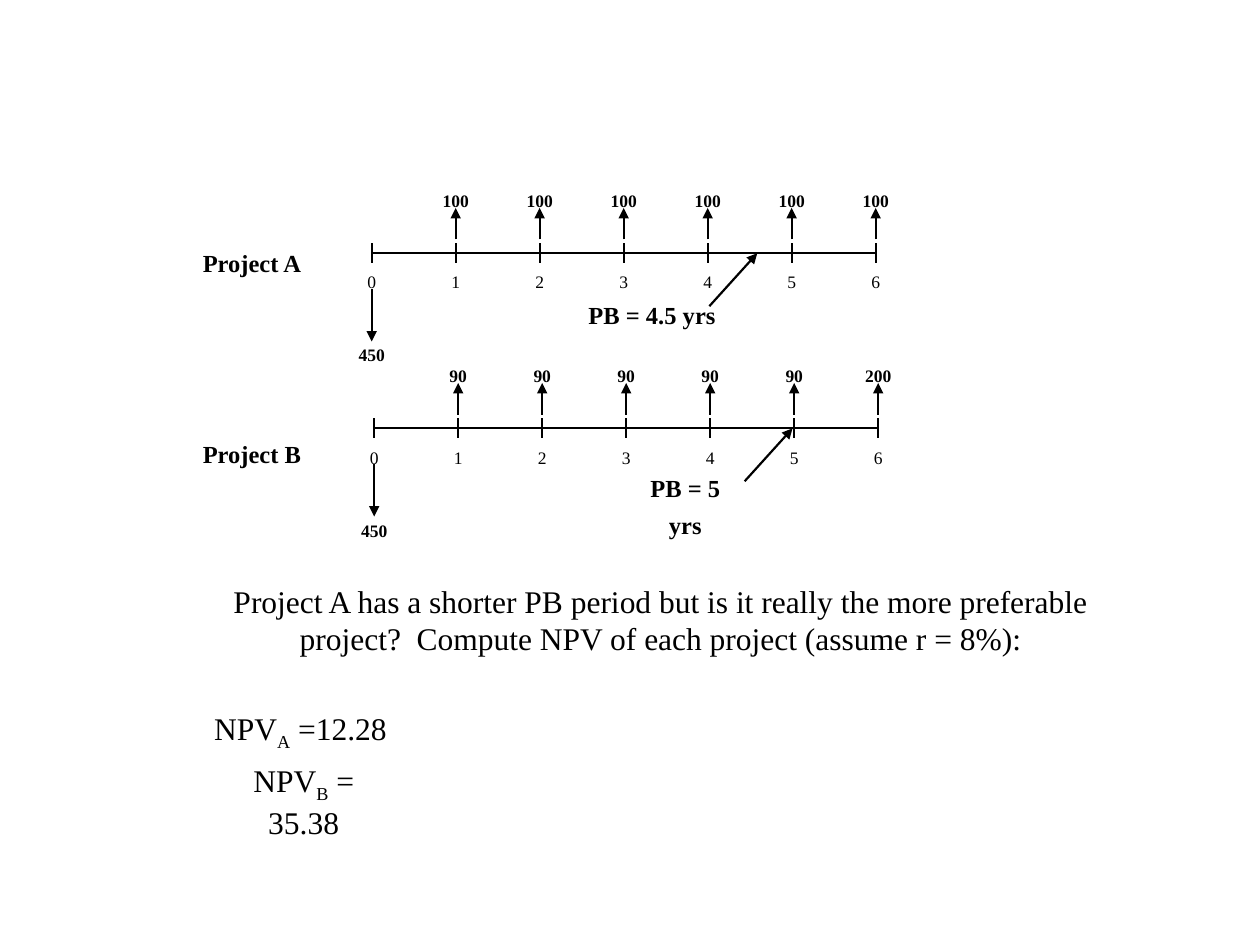
"""Build a slide comparing the payback periods and NPVs of two projects."""
from lxml.etree import SubElement
from pptx import Presentation
from pptx.dml.color import RGBColor as RGB
from pptx.enum.shapes import MSO_CONNECTOR as Connector
from pptx.enum.text import MSO_AUTO_SIZE as AutoSize, PP_ALIGN as Align
from pptx.oxml.ns import qn
from pptx.util import Inches, Pt

PROJECTS = [
    {"name": "Project A", "name_top": 1.86, "start": 2.95, "axis": 2.01,
     "outlay": "450", "inflows": ["100"] * 6,
     "payback": "PB = 4.5 yrs", "payback_box": (4.57, 2.27, 1.21), "payback_tip": 6.01},
    {"name": "Project B", "name_top": 3.38, "start": 2.97, "axis": 3.4,
     "outlay": "450", "inflows": ["90"] * 5 + ["200"],
     "payback": "PB = 5 yrs", "payback_box": (4.91, 3.65, 1.06), "payback_tip": 6.29},
]
QUESTION = ("Project A has a shorter PB period but is it really the more preferable "
            "project?  Compute NPV of each project (assume r = 8%):")
NPVS = [("A", " =12.28", 5.63, 1.57), ("B", " = 35.38", 6.04, 1.62)]

INK = RGB(0, 0, 0)
BASE = {"name": "Times New Roman", "bold": False}
THEME = {
    "year": {**BASE, "size": Pt(10)},
    "flow": {**BASE, "size": Pt(10), "bold": True},
    "label": {**BASE, "size": Pt(14), "bold": True},
    "body": {**BASE, "size": Pt(18)},
    "paragraph": {"alignment": Align.CENTER, "line_spacing": Pt(21)},
    "line": Pt(1.25),
}
YEAR_PITCH = 2 / 3
TEXT_HEIGHT = 0.39
FLOW_WIDTH = 0.41
YEAR_WIDTH = 0.27


def apply(target, values):
    for attribute, value in values.items():
        setattr(target, attribute, value)


def add_text(slide, parts, left, top, width, style, height=TEXT_HEIGHT, wrap=False):
    box = slide.shapes.add_textbox(*map(Inches, (left, top, width, height)))
    apply(box.text_frame, {"word_wrap": wrap, "auto_size": AutoSize.SHAPE_TO_FIT_TEXT})
    paragraph = box.text_frame.paragraphs[0]
    apply(paragraph, THEME["paragraph"])
    for text, baseline in parts:
        run = paragraph.add_run()
        run.text = text
        apply(run.font, THEME[style])
        run.font.color.rgb = INK
        if baseline:
            run._r.get_or_add_rPr().set("baseline", str(baseline))


def add_label(slide, text, center, top, width, style):
    add_text(slide, [(text, 0)], center - width / 2, top, width, style)


def add_line(slide, x1, y1, x2, y2, arrow=False):
    line = slide.shapes.add_connector(Connector.STRAIGHT, *map(Inches, (x1, y1, x2, y2)))
    line.line.color.rgb = INK
    line.line.width = THEME["line"]
    if arrow:
        SubElement(line.line._get_or_add_ln(), qn("a:tailEnd"), type="triangle")
    SubElement(line._element.spPr, qn("a:effectLst"))


def add_timeline(slide, project):
    start, axis = project["start"], project["axis"]
    years = [start + YEAR_PITCH * year for year in range(len(project["inflows"]) + 1)]
    add_line(slide, start, axis + 0.28, start, axis + 0.7, arrow=True)
    add_label(slide, project["outlay"], start, axis + 0.55, FLOW_WIDTH, "flow")
    for x, inflow in zip(years[1:], project["inflows"]):
        add_line(slide, x, axis - 0.11, x, axis - 0.36, arrow=True)
        add_label(slide, inflow, x, axis - 0.68, FLOW_WIDTH, "flow")
    for year, x in enumerate(years):
        add_label(slide, str(year), x, axis - 0.03, YEAR_WIDTH, "year")
        add_line(slide, x, axis - 0.08, x, axis + 0.08)
    add_line(slide, start, axis, years[-1], axis)
    add_label(slide, project["name"], 2, project["name_top"], 0.99, "label")
    add_text(slide, [(project["payback"], 0)], *project["payback_box"], "label")
    tip = project["payback_tip"]
    add_line(slide, tip - 0.38, axis + 0.42, tip, axis, arrow=True)


def main():
    deck = Presentation()
    deck.slide_width, deck.slide_height = Inches(10), Inches(7.5)
    slide = deck.slides.add_slide(deck.slide_layouts[6])
    for project in PROJECTS:
        add_timeline(slide, project)
    for project_letter, value, top, width in NPVS:
        parts = [("NPV", 0), (project_letter, -25000), (value, 0)]
        add_text(slide, parts, 1.6, top, width, "body")
    add_text(slide, [(QUESTION, 0)], 1.58, 4.58, 7.33, "body", height=0.69, wrap=True)
    deck.save("out.pptx")


if __name__ == "__main__":
    main()
